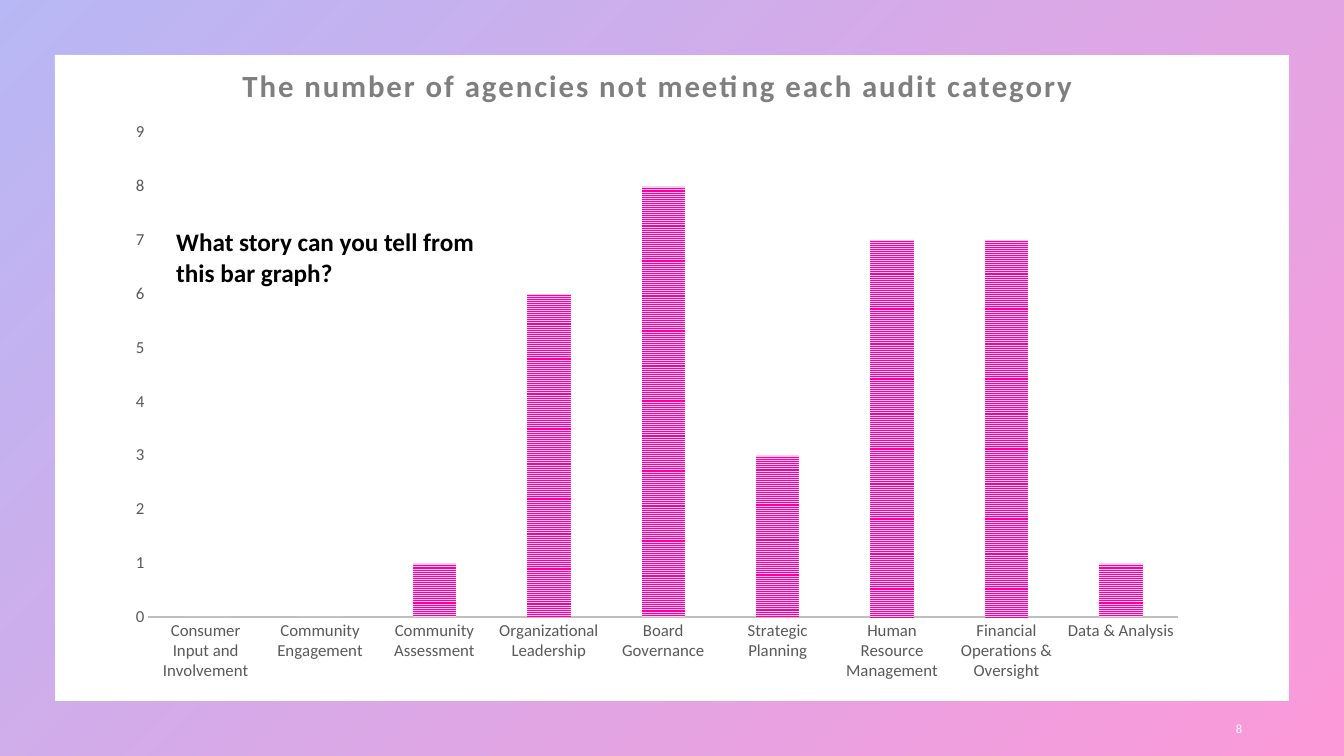
from typing import NamedTuple

from lxml.etree import SubElement
from pptx import Presentation
from pptx.chart.data import CategoryChartData as Data
from pptx.dml.color import RGBColor
from pptx.enum.chart import XL_CHART_TYPE as Kind, XL_TICK_MARK as Tick
from pptx.enum.dml import MSO_PATTERN as Pattern
from pptx.enum.shapes import MSO_SHAPE as Preset
from pptx.enum.text import MSO_ANCHOR as Anchor, PP_ALIGN as Align
from pptx.oxml import parse_xml
from pptx.oxml.ns import nsdecls, qn
from pptx.util import Inches, Pt

FONT = "Calibri"
BLUE = RGBColor(0x4D, 0x4E, 0xE6)
PINK = RGBColor(0xF9, 0x00, 0xA0)
PALE = RGBColor(0xFF, 0xCB, 0xEC)
WHITE = RGBColor(0xFF, 0xFF, 0xFF)
BLACK = RGBColor(0, 0, 0)
GRAY = RGBColor(0x7F, 0x7F, 0x7F)
DARK = RGBColor(0x59, 0x59, 0x59)
SILVER = RGBColor(0xBF, 0xBF, 0xBF)

WIDE, HIGH = Inches(13.33), Inches(7.5)

COUNTS = {
    "Consumer Input and Involvement": 0,
    "Community Engagement": 0,
    "Community Assessment": 1,
    "Organizational Leadership": 6,
    "Board Governance": 8,
    "Strategic Planning": 3,
    "Human Resource Management": 7,
    "Financial Operations & Oversight": 7,
    "Data & Analysis": 1,
}


class Style(NamedTuple):
    size: float
    color: RGBColor
    bold: bool = False
    gap: int = 0  # letter spacing in hundredths of a point


class Label(NamedTuple):
    text: str
    box: tuple[float, float, float, float]  # inches
    style: Style
    align: Align = Align.LEFT
    anchor: Anchor = Anchor.TOP


LABELS = [
    Label("8", (9.42, 7.03, 3, 0.4), Style(9, WHITE, gap=150), Align.RIGHT, Anchor.MIDDLE),
    Label("What story can you tell from this bar graph?", (1.65, 2.2, 3.23, 0.71),
          Style(18, BLACK, bold=True)),
]


def set_font(font, style: Style) -> None:
    font.name, font.size, font.bold = FONT, Pt(style.size), style.bold
    font.color.rgb = style.color


def add_run(para, text: str, style: Style) -> None:
    run = para.add_run()
    run.text = text
    set_font(run.font, style)
    if style.gap:
        run.font._element.set("spc", str(style.gap))


def add_label(slide, label: Label) -> None:
    frame = slide.shapes.add_textbox(*map(Inches, label.box)).text_frame
    frame.word_wrap = True
    frame.vertical_anchor = label.anchor
    para = frame.paragraphs[0]
    para.alignment = label.align
    add_run(para, label.text, label.style)


def add_border(slide) -> None:
    border = slide.shapes.add_shape(Preset.FRAME, 0, 0, WIDE, HIGH)
    border.adjustments[0] = 0.072
    border.shadow.inherit = False
    border.line.fill.background()
    border.fill.gradient()
    border.fill.gradient_angle = 315
    for stop, color in zip(border.fill.gradient_stops, (BLUE, PINK)):
        stop.color.rgb = color
    for color in border._element.spPr.iter(qn("a:srgbClr")):
        SubElement(color, qn("a:alpha")).set("val", "40000")


def style_axis(axis) -> None:
    axis.major_tick_mark = axis.minor_tick_mark = Tick.NONE
    axis.has_major_gridlines = False
    set_font(axis.tick_labels.font, Style(12, DARK))


def place_plot(chart, x: float, y: float, w: float, h: float) -> None:
    area = chart._chartSpace.chart.plotArea
    for old in area.findall(qn("c:layout")):
        area.remove(old)
    parts = "".join(f'<c:{key} val="{val}"/>' for key, val in (
        ("layoutTarget", "inner"), ("xMode", "edge"), ("yMode", "edge"),
        ("x", x), ("y", y), ("w", w), ("h", h)))
    area.insert(0, parse_xml(f'<c:layout {nsdecls("c")}><c:manualLayout>{parts}'
                             '</c:manualLayout></c:layout>'))


def add_bars(slide) -> None:
    data = Data()
    data.categories = list(COUNTS)
    data.add_series("Series 1", list(COUNTS.values()))
    box = map(Inches, (1.15, 0.4, 10.75, 6.5))
    chart = slide.shapes.add_chart(Kind.COLUMN_CLUSTERED, *box, data).chart
    set_font(chart.font, Style(10, BLACK))
    chart.has_legend = False

    # Title
    chart.has_title = True
    chart.chart_title.include_in_layout = False
    add_run(chart.chart_title.text_frame.paragraphs[0],
            "The number of agencies not meeting each audit category",
            Style(22, GRAY, bold=True, gap=150))

    # Axes
    cats, vals = chart.category_axis, chart.value_axis
    for axis in (cats, vals):
        style_axis(axis)
    cats.format.line.color.rgb = SILVER
    cats.format.line.width = Pt(1.5)
    vals.format.line.fill.background()
    vals.minimum_scale, vals.maximum_scale, vals.major_unit = 0, 9, 1

    # Striped columns
    plot = chart.plots[0]
    plot.gap_width, plot.overlap, plot.vary_by_categories = 164, -22, False
    fill = plot.series[0].format.fill
    fill.patterned()
    fill.pattern = Pattern.NARROW_HORIZONTAL
    fill.fore_color.rgb, fill.back_color.rgb = PINK, PALE
    place_plot(chart, 0.03, 0.14, 0.95, 0.74)


deck = Presentation()
deck.slide_width, deck.slide_height = WIDE, HIGH
page = deck.slides.add_slide(deck.slide_layouts[6])
add_border(page)
add_bars(page)
for label in LABELS:
    add_label(page, label)
deck.save("out.pptx")
